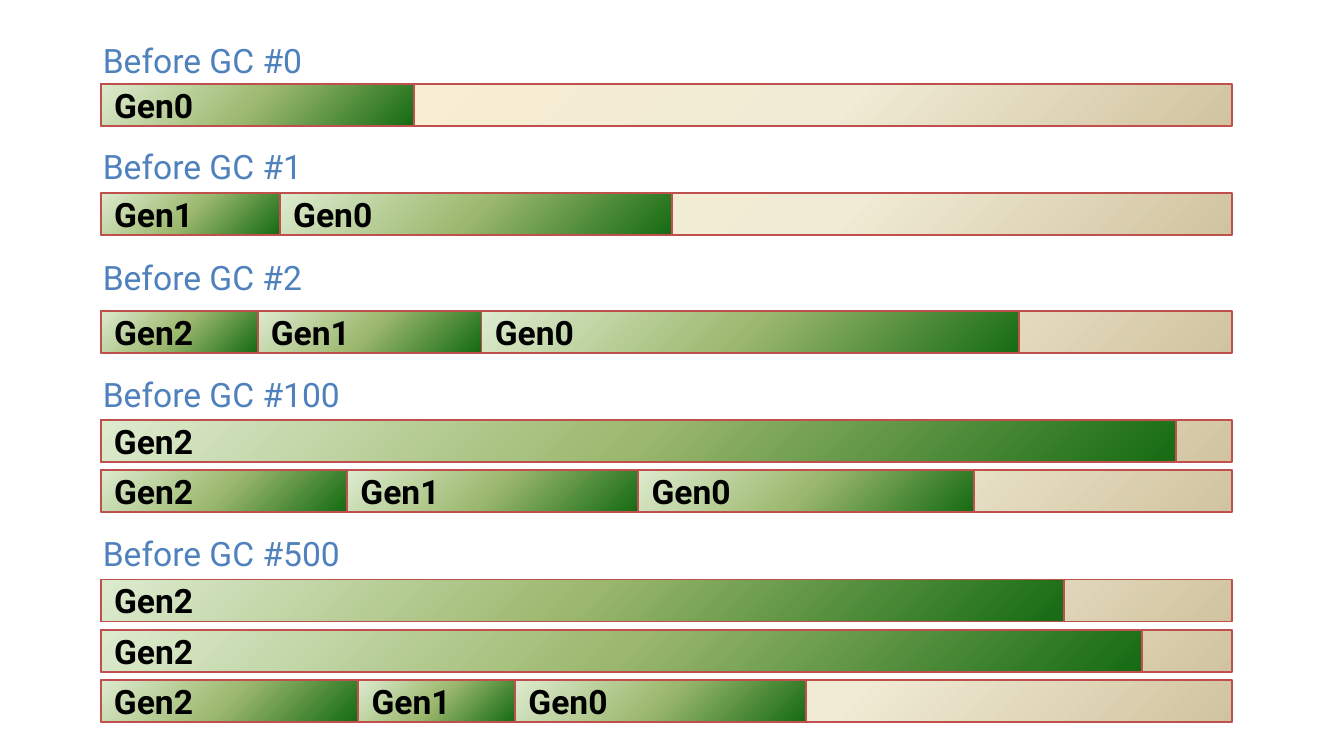
import copy

import pptx
import pptx.dml.color
import pptx.enum.shapes
import pptx.enum.text
import pptx.oxml.ns
import pptx.util

RGBColor = pptx.dml.color.RGBColor
BLUE = RGBColor(0x4F, 0x81, 0xBD)
RED = RGBColor(0xC0, 0x50, 0x4D)
BLACK = RGBColor(0x00, 0x00, 0x00)
FREE_STOPS = [
    (0, RGBColor(0xFF, 0xEF, 0xD1)),
    (0.65, RGBColor(0xF0, 0xEB, 0xD5)),
    (1, RGBColor(0xD1, 0xC3, 0x9F)),
]
USED_STOPS = [
    (0, RGBColor(0xDD, 0xEB, 0xCF)),
    (0.5, RGBColor(0x9C, 0xB8, 0x6E)),
    (1, RGBColor(0x15, 0x6B, 0x13)),
]

# Grid: 120 columns by 90 rows over the slide
COLUMN = pptx.util.Inches(1 / 12)
ROW = pptx.util.Inches(1 / 16)
HEAP_LEFT, HEAP_COLUMNS = 9, 101
BAR_ROWS, SEGMENT_STEP = 5, 6
LABEL_LEFT, LABEL_ROWS = 8, 6.4

# Title, title row, title columns, first bar row, and the generations
# (name, columns) in each heap segment
STAGES = [
    ("Before GC #0", 4, 34, 10, [[("Gen0", 28)]]),
    ("Before GC #1", 16.6, 34, 23, [[("Gen1", 16), ("Gen0", 35)]]),
    ("Before GC #2", 29.8, 31, 37,
     [[("Gen2", 14), ("Gen1", 20), ("Gen0", 48)]]),
    ("Before GC #100", 43.7, 32, 50,
     [[("Gen2", 96)], [("Gen2", 22), ("Gen1", 26), ("Gen0", 30)]]),
    ("Before GC #500", 62.7, 39, 69,
     [[("Gen2", 86)], [("Gen2", 93)],
      [("Gen2", 23), ("Gen1", 14), ("Gen0", 26)]]),
]


class HeapSlide:
    """Holds the text style, the slide and the stage being drawn."""

    title_format = {"size": pptx.util.Pt(18), "name": "Roboto", "bold": False}
    bar_format = {**title_format, "bold": True}

    def __init__(self, deck):
        self.page = deck.slides.add_slide(deck.slide_layouts[6])
        self.group = None

    def place(self, column, row, columns, rows):
        return (round(column * COLUMN), round(row * ROW),
                round(columns * COLUMN), round(rows * ROW))

    def add_text(self, box, text, font_format, color):
        para = box.text_frame.paragraphs[0]
        para.alignment = pptx.enum.text.PP_ALIGN.LEFT
        span = para.add_run()
        span.text = text
        for name, value in font_format.items():
            setattr(span.font, name, value)
        span.font.color.rgb = color

    def shade(self, box, stops):
        box.fill.gradient()
        box.fill.gradient_angle = 315
        stop_list = box.element.spPr.find(".//" + pptx.oxml.ns.qn("a:gsLst"))
        stop_list.append(copy.deepcopy(stop_list[0]))
        for stop, (position, color) in zip(box.fill.gradient_stops, stops):
            stop.position = position
            stop.color.rgb = color

    def title(self, text, row, columns):
        box = self.group.shapes.add_textbox(
            *self.place(LABEL_LEFT, row, columns, LABEL_ROWS))
        box.text_frame.word_wrap = True
        self.add_text(box, text, self.title_format, BLUE)

    def bar(self, column, row, columns, stops, text=None):
        box = self.group.shapes.add_shape(
            pptx.enum.shapes.MSO_SHAPE.FLOWCHART_PROCESS,
            *self.place(column, row, columns, BAR_ROWS))
        box.shadow.inherit = False
        self.shade(box, stops)
        box.line.color.rgb = RED
        box.line.width = pptx.util.Pt(1)
        if text:
            box.text_frame.word_wrap = False
            box.text_frame.vertical_anchor = pptx.enum.text.MSO_ANCHOR.MIDDLE
            self.add_text(box, text, self.bar_format, BLACK)

    def stage(self, title, title_row, title_columns, bar_row, segments):
        self.group = self.page.shapes.add_group_shape()
        self.title(title, title_row, title_columns)
        for index, generations in enumerate(segments):
            row = bar_row + index * SEGMENT_STEP
            # Free memory lies behind the generations
            self.bar(HEAP_LEFT, row, HEAP_COLUMNS, FREE_STOPS)
            column = HEAP_LEFT
            for name, columns in generations:
                self.bar(column, row, columns, USED_STOPS, name)
                column += columns


def main():
    deck = pptx.Presentation()
    deck.slide_width = 120 * COLUMN
    deck.slide_height = 90 * ROW
    heap = HeapSlide(deck)
    for stage in STAGES:
        heap.stage(*stage)
    deck.save("out.pptx")


if __name__ == "__main__":
    main()
